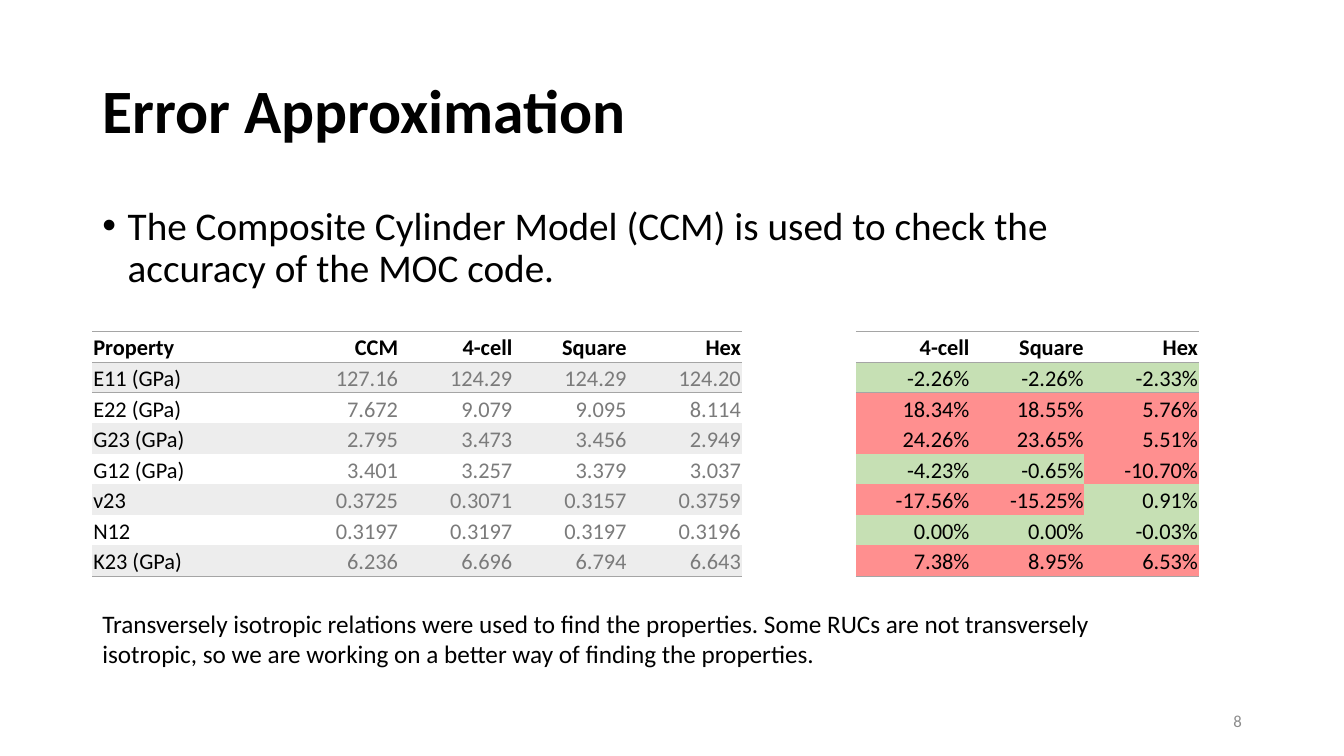
"""Build the Error Approximation slide with its comparison table."""
from lxml.etree import SubElement
from pptx import Presentation
from pptx.dml.color import RGBColor
from pptx.enum.text import MSO_ANCHOR, PP_ALIGN
from pptx.oxml import parse_xml
from pptx.oxml.ns import nsdecls, qn
from pptx.util import Cm, Pt

FONT = "Calibri"
COLORS = {
    "text": "000000",
    "value": "7B7B7B",
    "page": "8C8C8C",
    "rule": "A5A5A5",
    "band": "EDEDED",
    "good": "C6E0B4",
    "bad": "FF8F8F",
}
TEXTS = [
    {
        "text": "Error Approximation",
        "box": (2.33, 1.02, 29.21, 3.68),
        "font": {"size": Pt(44), "bold": True},
        "paragraph": {"line_spacing": 0.9},
        "anchor": MSO_ANCHOR.MIDDLE,
    },
    {
        "text": "The Composite Cylinder Model (CCM) is used to check the accuracy of the MOC code.",
        "box": (2.33, 5.08, 25.27, 5.36),
        "font": {"size": Pt(28)},
        "paragraph": {"line_spacing": 0.9, "space_before": Pt(10)},
        "bullet": "•",
    },
    {
        "text": "Transversely isotropic relations were used to find the properties. Some RUCs are not "
                "transversely isotropic, so we are working on a better way of finding the properties.",
        "box": (2.33, 15.21, 27.56, 1.8),
        "font": {"size": Pt(18)},
    },
    {
        "text": "8",
        "box": (23.93, 17.65, 7.62, 1.02),
        "font": {"size": Pt(12)},
        "color": "page",
        "paragraph": {"alignment": PP_ALIGN.RIGHT},
        "anchor": MSO_ANCHOR.MIDDLE,
    },
]
ROWS = [
    ("Property", "CCM", "4-cell", "Square", "Hex", "", "4-cell", "Square", "Hex"),
    ("E11 (GPa)", "127.16", "124.29", "124.29", "124.20", "", "-2.26%", "-2.26%", "-2.33%"),
    ("E22 (GPa)", "7.672", "9.079", "9.095", "8.114", "", "18.34%", "18.55%", "5.76%"),
    ("G23 (GPa)", "2.795", "3.473", "3.456", "2.949", "", "24.26%", "23.65%", "5.51%"),
    ("G12 (GPa)", "3.401", "3.257", "3.379", "3.037", "", "-4.23%", "-0.65%", "-10.70%"),
    ("ν23", "0.3725", "0.3071", "0.3157", "0.3759", "", "-17.56%", "-15.25%", "0.91%"),
    ("Ν12", "0.3197", "0.3197", "0.3197", "0.3196", "", "0.00%", "0.00%", "-0.03%"),
    ("K23 (GPa)", "6.236", "6.696", "6.794", "6.643", "", "7.38%", "8.95%", "6.53%"),
]
TABLE_LEFT, TABLE_TOP, ROW_HEIGHT = 2.33, 8.35, 0.77
COLUMN_WIDTHS = [4.19, 3.53] + [2.88] * 7
TABLE_TEXT_SIZE = 16
ERROR_LIMIT = 5
NO_STYLE = "{2D5ABB26-0587-4C30-8999-92F81FD0307C}"
CELL_FORMAT = {
    "margin_left": Cm(0.02),
    "margin_right": Cm(0.02),
    "margin_top": Cm(0.02),
    "margin_bottom": 0,
    "vertical_anchor": MSO_ANCHOR.BOTTOM,
}


def apply(target, values):
    for name, value in values.items():
        setattr(target, name, value)


def write(paragraph, text, color, font):
    run = paragraph.add_run()
    run.text = text
    apply(run.font, {"name": FONT, **font})
    run.font.color.rgb = RGBColor.from_string(COLORS[color])


def add_text(slide, item):
    frame = slide.shapes.add_textbox(*map(Cm, item["box"])).text_frame
    apply(frame, {"word_wrap": True, "vertical_anchor": item.get("anchor", MSO_ANCHOR.TOP)})
    paragraph = frame.paragraphs[0]
    apply(paragraph, item.get("paragraph", {}))
    write(paragraph, item["text"], item.get("color", "text"), item["font"])
    if "bullet" in item:
        properties = paragraph._p.get_or_add_pPr()
        indent = Cm(0.64)
        properties.set("marL", str(indent))
        properties.set("indent", str(-indent))
        SubElement(properties, qn("a:buFont")).set("typeface", "Arial")
        SubElement(properties, qn("a:buChar")).set("char", item["bullet"])


def add_border(cell, side):
    cell._tc.get_or_add_tcPr().insert(0, parse_xml(
        f'<a:{side} {nsdecls("a")} w="{Pt(0.5)}"><a:solidFill>'
        f'<a:srgbClr val="{COLORS["rule"]}"/></a:solidFill></a:{side}>'))


def fill_name(row, column, text):
    if row == 0 or not text:
        return None
    if text.endswith("%"):
        return "good" if abs(float(text.rstrip("%"))) < ERROR_LIMIT else "bad"
    return "band" if row % 2 else None


def format_cell(cell, row, column, text):
    apply(cell, CELL_FORMAT)
    fill = fill_name(row, column, text)
    if fill:
        cell.fill.solid()
        cell.fill.fore_color.rgb = RGBColor.from_string(COLORS[fill])
    else:
        cell.fill.background()
    paragraph = cell.text_frame.paragraphs[0]
    if not text:
        paragraph._p.get_or_add_endParaRPr().set("sz", str(TABLE_TEXT_SIZE * 100))
        return
    paragraph.alignment = PP_ALIGN.RIGHT if column else PP_ALIGN.LEFT
    is_value = row > 0 and column > 0 and not text.endswith("%")
    write(paragraph, text, "value" if is_value else "text",
          {"size": Pt(TABLE_TEXT_SIZE), "bold": row == 0})
    if row in (0, len(ROWS) - 1):
        add_border(cell, "lnB")
    if row in (0, 1):
        add_border(cell, "lnT")


def add_comparison_table(slide):
    table = slide.shapes.add_table(
        len(ROWS), len(COLUMN_WIDTHS), Cm(TABLE_LEFT), Cm(TABLE_TOP),
        Cm(sum(COLUMN_WIDTHS)), Cm(ROW_HEIGHT * len(ROWS))).table
    apply(table, {"first_row": False, "horz_banding": False})
    table._tbl.tblPr.find(qn("a:tableStyleId")).text = NO_STYLE
    for column, width in zip(table.columns, COLUMN_WIDTHS):
        column.width = Cm(width)
    for row, texts in enumerate(ROWS):
        table.rows[row].height = Cm(ROW_HEIGHT)
        for column, text in enumerate(texts):
            format_cell(table.cell(row, column), row, column, text)


presentation = Presentation()
apply(presentation, {"slide_width": Cm(33.87), "slide_height": Cm(19.05)})
slide = presentation.slides.add_slide(presentation.slide_layouts[6])
for item in TEXTS:
    add_text(slide, item)
add_comparison_table(slide)
presentation.save("out.pptx")
